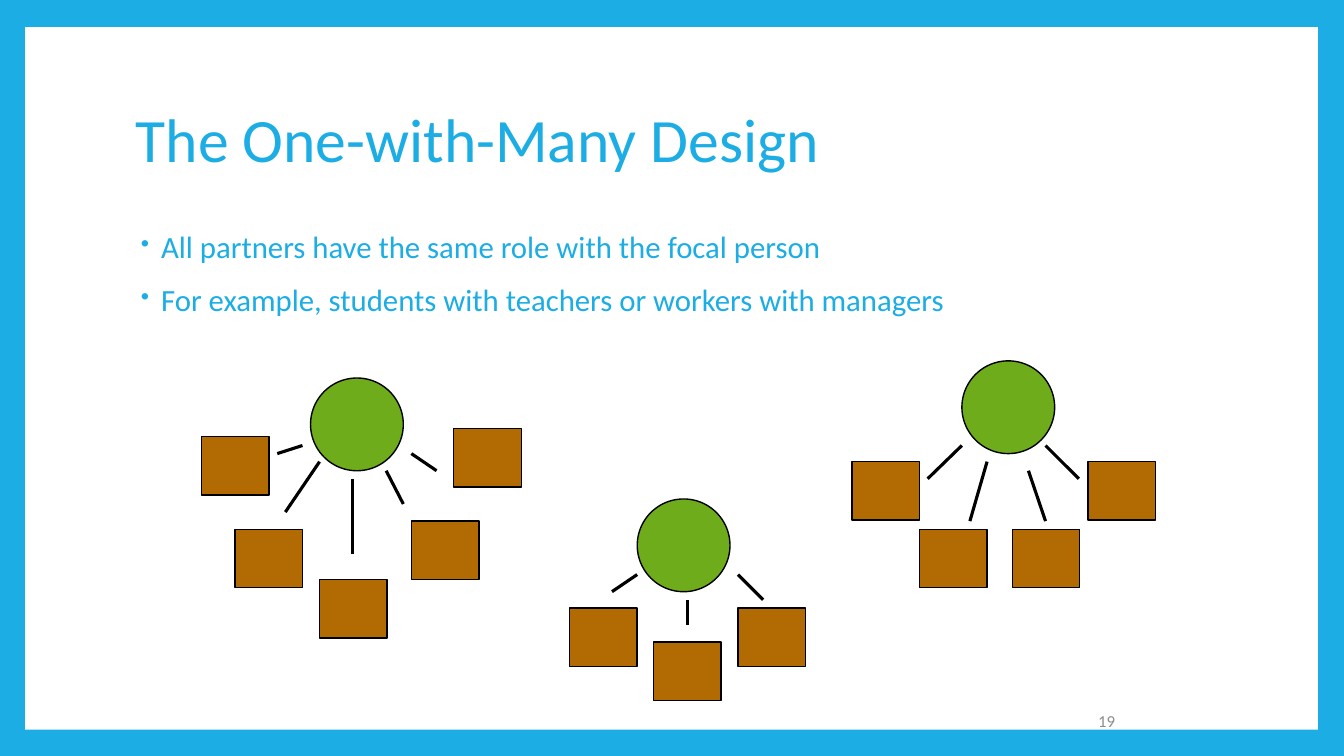
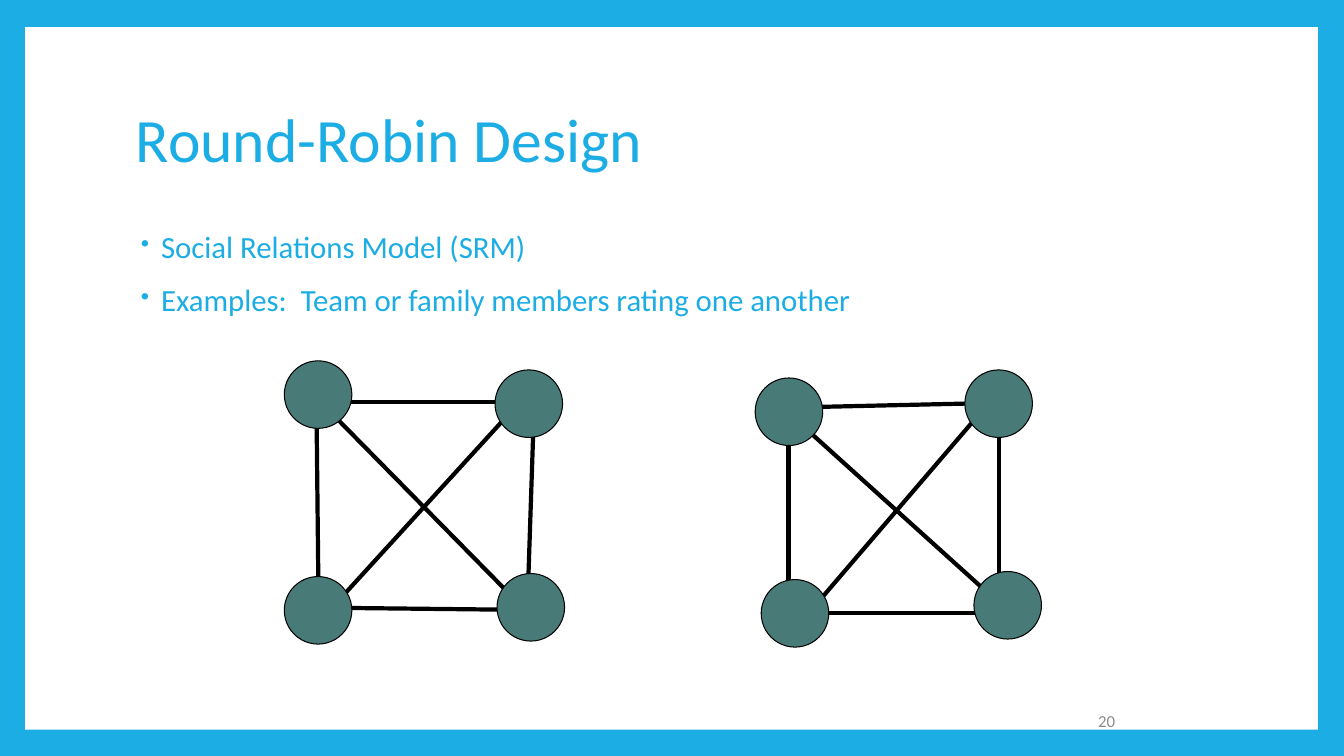
from dataclasses import dataclass

from lxml import etree
from pptx import Presentation
from pptx.dml.color import RGBColor
from pptx.enum import shapes as kinds, text as txt
from pptx.oxml import ns
from pptx.util import Inches, Pt


@dataclass(frozen=True)
class Theme:
    blue: str = "1CADE4"
    white: str = "FFFFFF"
    black: str = "000000"
    grey: str = "8C8C8C"
    focal: str = "6EAC1C"
    partner: str = "B26B02"
    member: str = "487B78"
    font: str = "Calibri"
    title: float = 44
    body: float = 22
    small: float = 12


THEME = Theme()
OVAL = kinds.MSO_SHAPE.OVAL
RECT = kinds.MSO_SHAPE.RECTANGLE

FOCAL = (0.92, 0.92)
PARTNER = (0.67, 0.58)
MEMBER = (0.67, 0.67)

# Each team: focal person, partners (left, top), links (x1, y1, x2, y2)
TEAMS = [
    ((3.08, 3.75),
     [(2, 4.33), (2.33, 5.25), (3.17, 5.75), (4.08, 5.17), (4.5, 4.25)],
     [(3, 4.42, 2.75, 4.5), (3.17, 4.58, 2.83, 5.08), (3.5, 4.75, 3.5, 5.5),
      (3.83, 4.67, 4, 5), (4.08, 4.5, 4.33, 4.67)]),
    ((6.32, 4.95),
     [(5.65, 6.03), (6.48, 6.37), (7.32, 6.03)],
     [(6.32, 5.7, 6.07, 5.87), (6.82, 5.95, 6.82, 6.2),
      (7.32, 5.7, 7.57, 5.95)]),
    ((9.54, 3.58),
     [(8.45, 4.58), (9.12, 5.25), (10.04, 5.25), (10.79, 4.58)],
     [(9.54, 4.42, 9.2, 4.75), (9.79, 4.58, 9.62, 5.17),
      (10.2, 4.67, 10.37, 5.17), (10.37, 4.42, 10.7, 4.75)]),
]

# Each ring: members (left, top), links (x1, y1, x2, y2)
RINGS = [
    ([(2.82, 3.58), (4.91, 3.67), (4.93, 5.69), (2.82, 5.72)],
     [(3.14, 4.14, 3.16, 6), (5.29, 4.25, 5.24, 5.75),
      (3.27, 4.08, 5.08, 5.92), (3.32, 6, 4.99, 4.17),
      (5.16, 3.99, 3.27, 3.99), (3.32, 6.03, 5.16, 6.05)]),
    ([(7.49, 3.75), (9.57, 3.67), (9.66, 5.67), (7.55, 5.75)],
     [(7.99, 4.25, 9.74, 5.83), (7.99, 6.08, 9.91, 6.08),
      (9.91, 4.33, 9.91, 5.92), (9.75, 4, 7.99, 4.04),
      (7.82, 4.42, 7.82, 5.75), (8.16, 5.92, 9.66, 4.17)]),
]


def color(code):
    return RGBColor.from_string(code)


def add_node(parent, kind, spot, size, fill, width=None):
    """Add a filled shape, outlined in black when a width is given."""
    node = parent.shapes.add_shape(kind, *map(Inches, spot + size))
    node.shadow.inherit = False
    node.fill.solid()
    node.fill.fore_color.rgb = color(fill)
    if width:
        node.line.color.rgb = color(THEME.black)
        node.line.width = Pt(width)
    else:
        node.line.fill.background()
    return node


def add_link(parent, ends, width):
    link = parent.shapes.add_connector(
        kinds.MSO_CONNECTOR.STRAIGHT, *map(Inches, ends))
    link.line.color.rgb = color(THEME.black)
    link.line.width = Pt(width)
    etree.SubElement(link._element.spPr, ns.qn("a:effectLst"))


def add_text(slide, box, lines, size, ink, anchor=txt.MSO_ANCHOR.MIDDLE):
    """Add one paragraph per line and return the paragraphs."""
    frame = slide.shapes.add_textbox(*map(Inches, box)).text_frame
    frame.word_wrap = True
    frame.vertical_anchor = anchor
    frame.text = "\n".join(lines)
    for para in frame.paragraphs:
        para.font.name = THEME.font
        para.font.size = Pt(size)
        para.font.color.rgb = color(ink)
    return frame.paragraphs


def add_bullet(para):
    props = para._p.get_or_add_pPr()
    props.set("marL", str(Inches(0.25)))
    props.set("indent", str(Inches(-0.2)))
    tint = etree.Element(ns.qn("a:buClr"))
    etree.SubElement(tint, ns.qn("a:srgbClr"), val=THEME.blue)
    size = etree.Element(ns.qn("a:buSzPct"), val="80000")
    mark = etree.Element(ns.qn("a:buChar"), char="•")
    rest = props.find(ns.qn("a:defRPr"))
    for item in (tint, size, mark):
        rest.addprevious(item)


def add_slide(deck, title, points, number):
    """Add a slide with the shared panel, title, bullets and page number."""
    slide = deck.slides.add_slide(deck.slide_layouts[6])
    add_node(slide, RECT, (0.25, 0.27), (12.82, 6.97), THEME.white)
    head, = add_text(slide, (1.25, 0.67, 10.8, 1.48), [title],
                     THEME.title, THEME.blue)
    head.line_spacing = 0.9
    for para in add_text(slide, (1.25, 2.25, 10.8, 1.1), points,
                         THEME.body, THEME.blue, txt.MSO_ANCHOR.TOP):
        para.line_spacing = 0.9
        para.space_before = Pt(14)
        add_bullet(para)
    page, = add_text(slide, (8.83, 6.95, 2.33, 0.4), [str(number)],
                     THEME.small, THEME.grey)
    page.alignment = txt.PP_ALIGN.RIGHT
    return slide


def add_team(slide, focal, partners, links):
    team = slide.shapes.add_group_shape()
    add_node(team, OVAL, focal, FOCAL, THEME.focal, 1)
    for spot in partners:
        add_node(team, RECT, spot, PARTNER, THEME.partner, 1)
    for ends in links:
        add_link(team, ends, 2.25)


def add_ring(slide, members, links):
    """Draw links first so that the members cover their ends."""
    ring = slide.shapes.add_group_shape()
    for ends in links:
        add_link(ring, ends, 3)
    for spot in members:
        add_node(ring, OVAL, spot, MEMBER, THEME.member, 0.75)


def main():
    deck = Presentation()
    deck.slide_width = Inches(13.33)
    deck.slide_height = Inches(7.5)
    back = deck.slide_master.background.fill
    back.solid()
    back.fore_color.rgb = color(THEME.blue)

    slide = add_slide(deck, "The One-with-Many Design", [
        "All partners have the same role with the focal person",
        "For example, students with teachers or workers with managers"], 19)
    for team in TEAMS:
        add_team(slide, *team)

    slide = add_slide(deck, "Round-Robin Design", [
        "Social Relations Model (SRM)",
        "Examples:  Team or family members rating one another"], 20)
    for ring in RINGS:
        add_ring(slide, *ring)

    deck.save("out.pptx")


if __name__ == "__main__":
    main()
